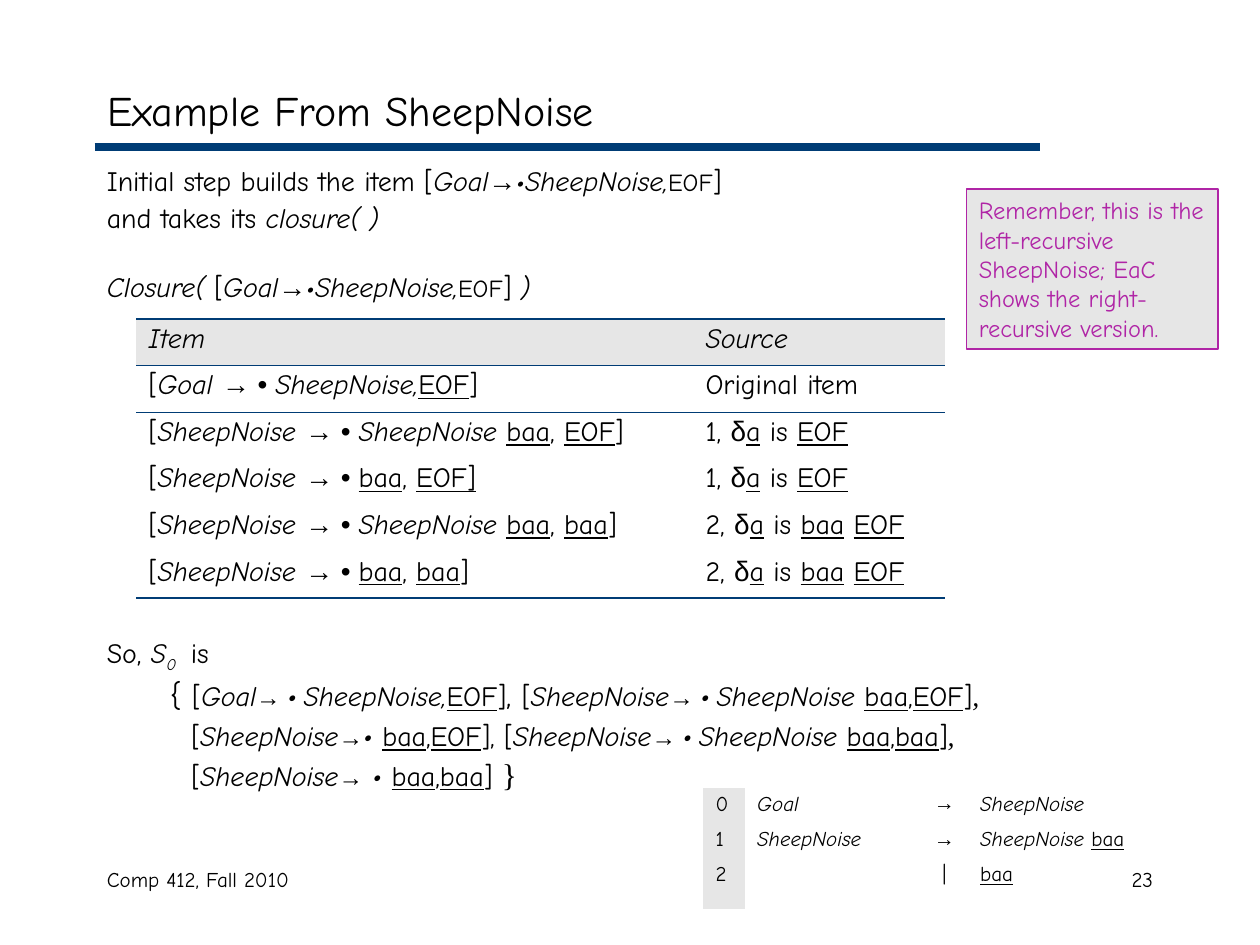
import pptx
import pptx.util
import pptx.dml.color
import pptx.enum.shapes
import pptx.enum.text
import pptx.oxml
import pptx.oxml.ns
import lxml.etree

Inches = pptx.util.Inches
Pt = pptx.util.Pt
ALIGN = pptx.enum.text.PP_ALIGN
ANCHOR = pptx.enum.text.MSO_ANCHOR
QN = pptx.oxml.ns.qn

HUES = {"ink": "000000", "rule": "003C75", "gray": "E6E6E6", "note": "B025A6", "page": "FFFFFF"}
MARKS = {
    "i": {"italic": True},
    "u": {"underline": True},
    "a": {"name": "Arial"},
    "t": {"name": "Times New Roman"},
    "s": {"size": Pt(14)},
    "b": {"size": Pt(18)},
}
PLAIN = "{2D5ABB26-0587-4C30-8999-92F81FD0307C}"


def shade(name):
    return pptx.dml.color.RGBColor.from_string(HUES[name])


class Deck:
    font = "Comic Neue"

    def __init__(self):
        self.file = pptx.Presentation()
        self.file.slide_width, self.file.slide_height = Inches(10), Inches(7.5)
        self.slide = self.file.slides.add_slide(self.file.slide_layouts[5])

    def line(self, para, runs, size, hue="ink", **form):
        for key, val in form.items():
            setattr(para, key, val)
        for text, *marks in [(r,) if isinstance(r, str) else r for r in runs]:
            run = para.add_run()
            run.text = text
            look = {"name": self.font, "size": Pt(size), "italic": False, "underline": False}
            for mark in "".join(marks):
                if mark == "_":
                    run._r.get_or_add_rPr().set("baseline", "-25000")
                else:
                    look.update(MARKS[mark])
            for key, val in look.items():
                setattr(run.font, key, val)
            run.font.color.rgb = shade(hue)

    def frame(self, frame, **form):
        form = {"word_wrap": True, "vertical_anchor": ANCHOR.TOP, **form}
        for key, val in form.items():
            setattr(frame, key, val)
        return frame.paragraphs[0]

    def title(self, text, *box):
        shape = self.slide.shapes.title
        for key, val in zip(("left", "top", "width", "height"), box):
            setattr(shape, key, Inches(val))
        para = self.frame(shape.text_frame, vertical_anchor=ANCHOR.MIDDLE)
        self.line(para, [text], 24, alignment=ALIGN.LEFT)

    def text(self, lines, size, *box, align=ALIGN.LEFT):
        frame = self.slide.shapes.add_textbox(*map(Inches, box)).text_frame
        para = self.frame(frame)
        for num, (gap, left, runs) in enumerate(lines):
            if num:
                para = frame.add_paragraph()
            para._p.get_or_add_pPr().set("marL", str(Inches(left)))
            self.line(para, runs, size, alignment=align, space_before=Pt(gap))

    def note(self, text, *box):
        kind = pptx.enum.shapes.MSO_SHAPE.RECTANGLE
        shape = self.slide.shapes.add_shape(kind, *map(Inches, box))
        shape.shadow.inherit = False
        shape.fill.solid()
        shape.fill.fore_color.rgb = shade("gray")
        shape.line.color.rgb = shade("note")
        shape.line.width = Pt(1)
        fit = pptx.enum.text.MSO_AUTO_SIZE.SHAPE_TO_FIT_TEXT
        para = self.frame(shape.text_frame, auto_size=fit)
        self.line(para, [text], 14, "note", alignment=ALIGN.LEFT)

    def rule(self, left, right, top):
        kind = pptx.enum.shapes.MSO_CONNECTOR.STRAIGHT
        rule = self.slide.shapes.add_connector(kind, *map(Inches, (left, top, right, top)))
        rule.line.color.rgb = shade("rule")
        rule.line.width = Pt(4.5)
        lxml.etree.SubElement(rule._element.spPr, QN("a:effectLst"))

    def edge(self, cell, side, width):
        props = cell._tc.get_or_add_tcPr()
        edge = pptx.oxml.parse_xml(
            f'<a:{side} xmlns:a="{pptx.oxml.ns.nsdecls("a").split(chr(34))[1]}" w="{Pt(width)}">'
            f'<a:solidFill><a:srgbClr val="{HUES["rule"]}"/></a:solidFill></a:{side}>')
        spot = len(props.findall(QN("a:lnT")))
        props.insert(spot, edge)

    def table(self, rows, wides, highs, left, top, size, fill, mid=None):
        box = map(Inches, (left, top, sum(wides), sum(highs)))
        grid = self.slide.shapes.add_table(len(rows), len(wides), *box).table
        grid.first_row = grid.horz_banding = False
        grid._tbl.tblPr.find(QN("a:tableStyleId")).text = PLAIN
        for col, wide in zip(grid.columns, wides):
            col.width = Inches(wide)
        for r, (cells, high) in enumerate(zip(rows, highs)):
            grid.rows[r].height = Inches(high)
            for c, runs in enumerate(cells):
                cell = grid.cell(r, c)
                hue = fill(r, c)
                if hue:
                    cell.fill.solid()
                    cell.fill.fore_color.rgb = shade(hue)
                else:
                    cell.fill.background()
                side = ALIGN.CENTER if c == mid else ALIGN.LEFT
                self.line(cell.text_frame.paragraphs[0], runs, size, alignment=side, line_spacing=0.9)
        return grid


def main():
    deck = Deck()
    deck.title("Example From SheepNoise", 0.75, 0.58, 8.5, 0.58)
    deck.rule(0.75, 8.25, 1.17)
    deck.text([(0, 0, ["Comp 412, Fall 2010"])], 12, 0.75, 6.83, 3.17, 0.5)
    deck.text([(0, 0, ["23"])], 12, 7.17, 6.83, 2.08, 0.5, align=ALIGN.RIGHT)

    sheep, baa, eof = ("SheepNoise ", "i"), ("baa", "u"), ("EOF", "u")
    start = ["[", ("Goal", "i"), ("→", "a"), ("•SheepNoise,", "i"), ("EOF", "s")]
    dot = [("→ ", "asi"), ("•", "bi"), (" ", "tsi")]
    left = ["[", ("SheepNoise", "i")]
    grow = [*left, *dot, sheep, baa, ","]
    comma = (",", "ti")
    deck.text([
        (0, 0, ["Initial step builds the item ", *start, "]"]),
        (2, 0, ["and takes its ", ("closure( )", "i")]),
        (20, 0, [("Closure( ", "i"), *start, "] ", (")", "i")]),
        (190, 0, ["So, ", ("S", "i"), ("0 ", "i_"), " is"]),
        (1, 0.5, [("{ ", "b"), "[", ("Goal", "i"), *dot, ("SheepNoise,", "i"), eof, "]",
                  (", ", "b"), *grow, eof, "]", comma]),
        (1, 0.67, [*left, ("→", "asi"), ("•", "bi"), (" ", "i"), baa, ",", eof, "], ",
                   *grow, baa, "]", comma]),
        (1, 0.67, [*left, ("→", "asi"), (" ", "i"), ("•", "bi"), (" ", "i"), baa, ",", baa, "] ",
                   ("}", "bt")]),
    ], 16, 0.75, 1.25, 8.5, 5.42)

    deck.note("Remember, this is the left-recursive SheepNoise; EaC shows the right-recursive version.",
              7.67, 1.5, 2, 1.27)

    goes = ("→ • ", "a")
    first = ["1, ", ("δ", "a"), ("a", "u"), " is ", eof]
    next = ["2, ", ("δ", "a"), ("a", "u"), " is ", baa, " ", eof]
    items = [
        ([("Item", "i")], [("Source", "i")]),
        (["[", ("Goal ", "i"), goes, ("SheepNoise,", "i"), eof, "]"], ["Original item"]),
        (["[", sheep, goes, sheep, baa, ", ", eof, "]"], first),
        (["[", sheep, goes, baa, ", ", ("EOF]", "u")], first),
        (["[", sheep, goes, sheep, baa, ", ", baa, "]"], next),
        (["[", sheep, goes, baa, ", ", baa, "]"], next),
    ]
    grid = deck.table(items, [4.42, 2], [0.37] * 6, 1.08, 2.53, 16,
                      lambda r, c: "page" if r else "gray")
    for row, side, width in ((0, "lnT", 1.08), (0, "lnB", 0.45), (1, "lnT", 0.45), (5, "lnB", 1.08)):
        for col in range(2):
            deck.edge(grid.cell(row, col), side, width)

    arrow = [("→", "a")]
    rules = [
        (["0"], [("Goal", "i")], arrow, [("SheepNoise", "i")]),
        (["1"], [("SheepNoise", "i")], arrow, [sheep, baa]),
        (["2"], [], ["|"], [baa]),
    ]
    deck.table(rules, [0.33, 1.4, 0.37, 1.65], [0.28, 0.28, 0.3], 5.58, 6.25, 12,
               lambda r, c: None if c else "gray", mid=2)
    deck.file.save("out.pptx")


if __name__ == "__main__":
    main()
